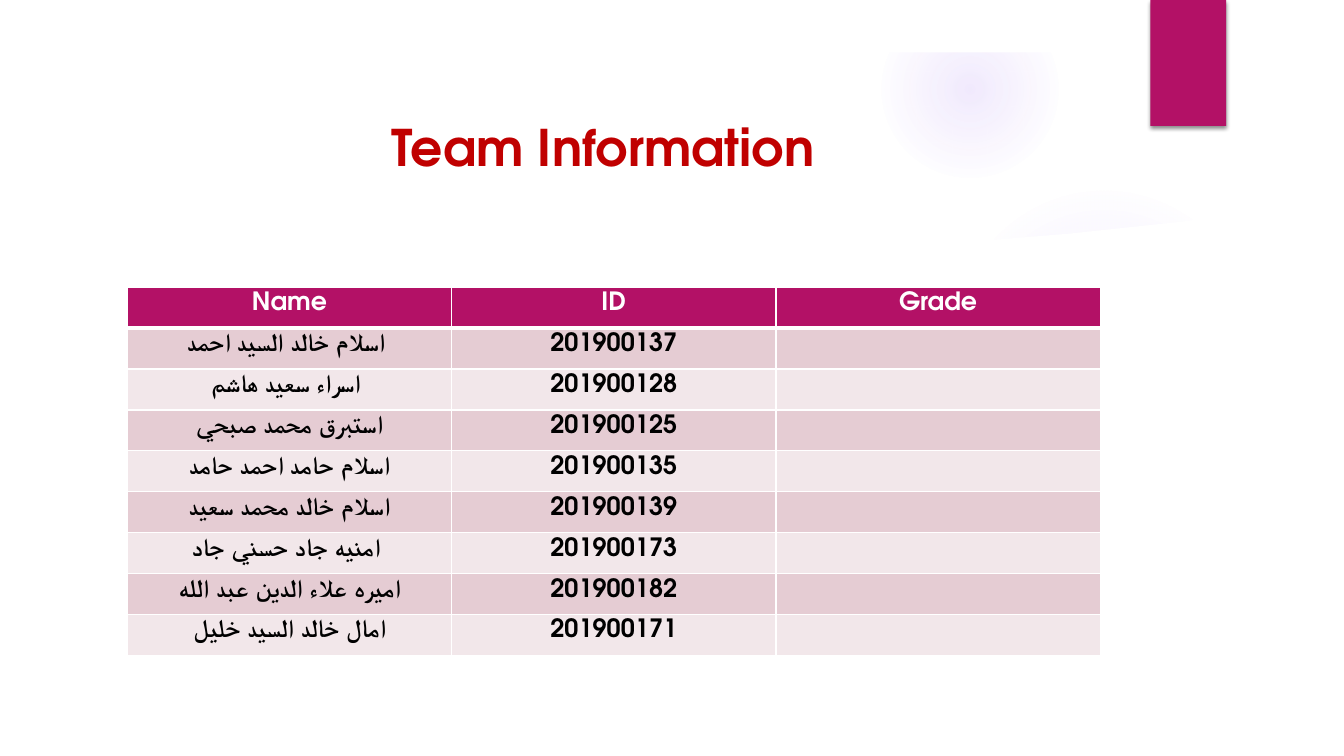
"""Build the team information slide."""
import pptx
import pptx.dml.color
import pptx.enum.shapes
import pptx.enum.text
import pptx.oxml
import pptx.oxml.ns
import pptx.util

FONT = "TeX Gyre Adventor"
WHITE, ACCENT, RED, BLACK, GLOW = "FFFFFF", "B31166", "C00000", "000000", "9B6BF2"
BANDS = ("E5CCD3", "F2E7EA")
TITLE = "Team Information "
HEADINGS = ("Name", "ID", "Grade")
TEAM = [
    ("اسلام خالد السيد احمد ", "201900137"),
    ("اسراء سعيد هاشم ", "201900128"),
    ("استبرق محمد صبحي", "201900125"),
    ("اسلام حامد احمد حامد", "201900135"),
    ("اسلام خالد محمد سعيد", "201900139"),
    ("امنيه جاد حسني جاد ", "201900173"),
    ("اميره علاء الدين عبد الله", "201900182"),
    ("امال خالد السيد خليل", "201900171"),
]
PAGE_WIDTH, PAGE_HEIGHT = 960, 540
LEFT = 90.9
TABLE_TOP, COLUMN_WIDTH, ROW_HEIGHT = 205.2, 231.7, 29.2
GLOWS = [
    (677.5, 131.8, 221.8, ((0, 7), (36, 6), (69, 0))),
    (630, 0.7, 126, ((0, 14), (36, 7), (73, 0))),
]
PANEL = [(36, 147), (160, 164), (320, 174), (500, 178.5), (605, 177),
         (683, 173.5), (763, 167), (844, 158.4), (924, 147), (924, 504), (36, 504)]
NAMESPACE = pptx.oxml.ns.nsdecls("a")
Pt = pptx.util.Pt
SHAPE = pptx.enum.shapes.MSO_SHAPE


def color(value):
    return pptx.dml.color.RGBColor.from_string(value)


def paint(shape, value):
    shape.shadow.inherit = False
    shape.line.fill.background()
    shape.fill.solid()
    shape.fill.fore_color.rgb = color(value)
    return shape


def add_block(page, kind, left, top, width, height, value):
    shape = page.shapes.add_shape(kind, Pt(left), Pt(top), Pt(width), Pt(height))
    return paint(shape, value)


def add_glow(page, left, top, size, stops):
    shape = add_block(page, SHAPE.OVAL, left, top, size, size, GLOW)
    marks = "".join(
        f'<a:gs pos="{place * 1000}"><a:srgbClr val="{GLOW}">'
        f'<a:alpha val="{alpha * 1000}"/></a:srgbClr></a:gs>'
        for place, alpha in stops)
    gradient = pptx.oxml.parse_xml(
        f'<a:gradFill {NAMESPACE} rotWithShape="1"><a:gsLst>{marks}</a:gsLst>'
        '<a:path path="circle"><a:fillToRect l="50000" t="50000" r="50000" b="50000"/>'
        '</a:path></a:gradFill>')
    properties = shape.element.spPr
    properties.replace(properties.find(pptx.oxml.ns.qn("a:solidFill")), gradient)


def add_panel(page, points):
    corners = [(Pt(x), Pt(y)) for x, y in points]
    builder = page.shapes.build_freeform(*corners[0])
    builder.add_line_segments(corners[1:], close=True)
    paint(builder.convert_to_shape(), WHITE)


def add_tab(page):
    tab = add_block(page, SHAPE.RECTANGLE, 821.8, 0, 54, 90, ACCENT)
    effects = tab.element.spPr.find(pptx.oxml.ns.qn("a:effectLst"))
    effects.append(pptx.oxml.parse_xml(
        f'<a:outerShdw {NAMESPACE} blurRad="38100" dist="25400" dir="5400000" '
        f'rotWithShape="0"><a:srgbClr val="{BLACK}"><a:alpha val="45000"/></a:srgbClr>'
        '</a:outerShdw>'))


def write(frame, text, size=18, value=BLACK):
    para = frame.paragraphs[0]
    para.alignment = pptx.enum.text.PP_ALIGN.CENTER
    span = para.add_run()
    span.text = text
    span.font.name, span.font.size, span.font.bold = FONT, Pt(size), True
    span.font.color.rgb = color(value)
    span.font._element.append(
        pptx.oxml.parse_xml(f'<a:cs {NAMESPACE} typeface="{FONT}"/>'))


def fill_cell(cell, text, fill, ink, bottom):
    properties = cell._tc.get_or_add_tcPr()
    for side, width in (("L", 1), ("R", 1), ("T", 1), ("B", bottom)):
        properties.append(pptx.oxml.parse_xml(
            f'<a:ln{side} {NAMESPACE} w="{Pt(width)}"><a:solidFill>'
            f'<a:srgbClr val="{WHITE}"/></a:solidFill></a:ln{side}>'))
    cell.fill.solid()
    cell.fill.fore_color.rgb = color(fill)
    if text:
        write(cell.text_frame, text, value=ink)


def add_team(page):
    rows = [HEADINGS] + [member + ("",) for member in TEAM]
    table = page.shapes.add_table(
        len(rows), len(HEADINGS), Pt(LEFT), Pt(TABLE_TOP),
        Pt(COLUMN_WIDTH * len(HEADINGS)), Pt(ROW_HEIGHT * len(rows))).table
    for column in table.columns:
        column.width = Pt(COLUMN_WIDTH)
    for index, texts in enumerate(rows):
        table.rows[index].height = Pt(ROW_HEIGHT)
        style = (BANDS[(index - 1) % 2], BLACK, 1) if index else (ACCENT, WHITE, 3)
        for place, text in enumerate(texts):
            fill_cell(table.cell(index, place), text, *style)


def main():
    deck = pptx.Presentation()
    deck.slide_width, deck.slide_height = Pt(PAGE_WIDTH), Pt(PAGE_HEIGHT)
    page = deck.slides.add_slide(deck.slide_layouts[6])
    for glow in GLOWS:
        add_glow(page, *glow)
    add_panel(page, PANEL)
    add_block(page, SHAPE.RECTANGLE, 0, 0, PAGE_WIDTH, 37.4, WHITE)
    add_tab(page)
    box = page.shapes.add_textbox(Pt(LEFT), Pt(76.7), Pt(689.8), Pt(55.4))
    box.text_frame.word_wrap = True
    box.text_frame.vertical_anchor = pptx.enum.text.MSO_ANCHOR.MIDDLE
    write(box.text_frame, TITLE, size=36, value=RED)
    add_team(page)
    deck.save("out.pptx")


if __name__ == "__main__":
    main()
